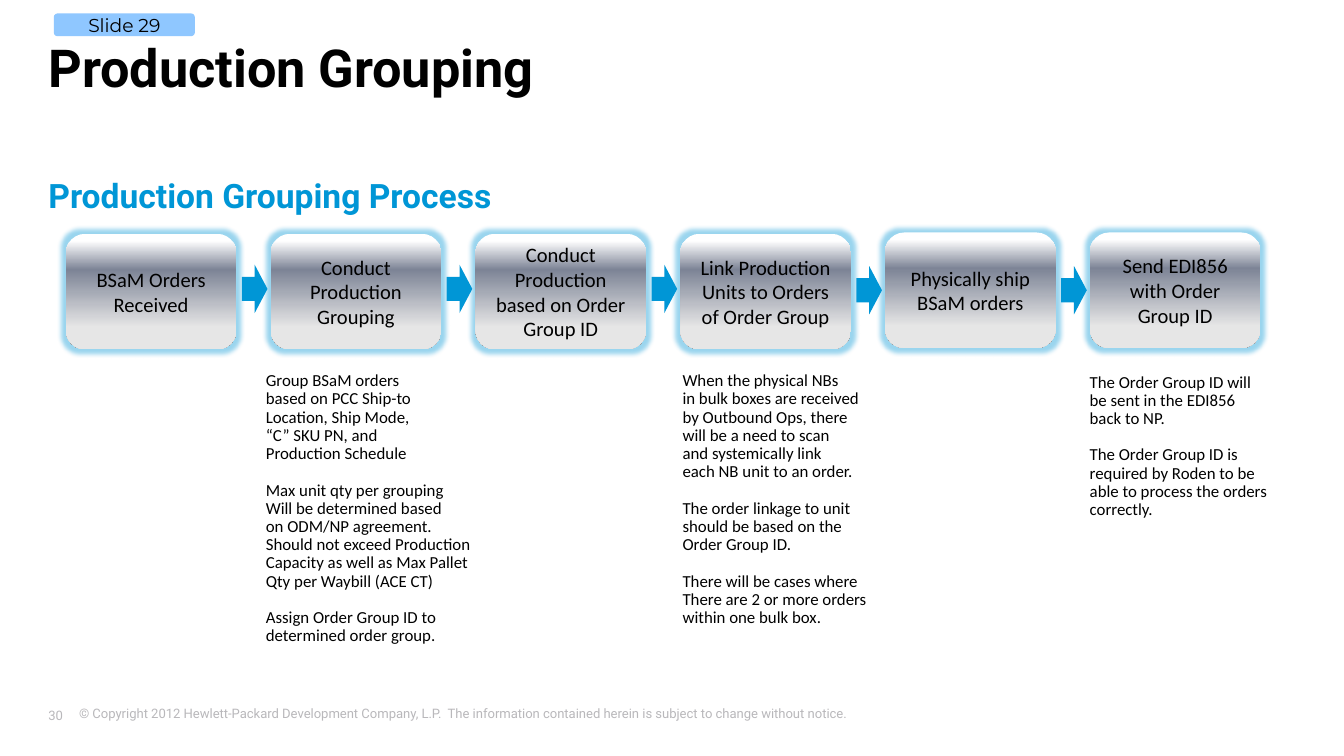
from pptx import Presentation
from pptx.dml.color import RGBColor
from pptx.enum.shapes import MSO_SHAPE
from pptx.enum.text import MSO_ANCHOR, PP_ALIGN
from pptx.oxml import parse_xml
from pptx.oxml.ns import nsdecls
from pptx.util import Inches, Pt

COLORS = {
    "black": "000000",
    "blue": "0096D6",
    "gray": "B9B8BB",
    "tag": "3399FF",
    "white": "FFFFFF",
    "slate": "7D8496",
    "silver": "E6E6E6",
}

# Widescreen 16:9
prs = Presentation()
prs.slide_width = Inches(10)
prs.slide_height = Inches(10 * 9 / 16)
slide = prs.slides.add_slide(prs.slide_layouts[6])


def add_text(left, top, width, height, lines, size, font, color="black", bold=False, inset=0.0):
    box = slide.shapes.add_textbox(Inches(left), Inches(top), Inches(width), Inches(height))
    frame = box.text_frame
    frame.word_wrap = True
    frame.margin_left = Inches(inset)
    frame.margin_right = Inches(inset)
    frame.margin_top = frame.margin_bottom = Inches(inset / 2)
    frame.text = "\n".join(lines)
    for paragraph in frame.paragraphs:
        for run in paragraph.runs:
            run.font.size = Pt(size)
            run.font.name = font
            run.font.bold = bold
            run.font.color.rgb = RGBColor.from_string(COLORS[color])
    return frame


def add_block(kind, left, top, width, height, color, text="", size=11, font="Calibri"):
    block = slide.shapes.add_shape(kind, Inches(left), Inches(top), Inches(width), Inches(height))
    block.shadow.inherit = False
    block.line.fill.background()
    block.fill.solid()
    block.fill.fore_color.rgb = RGBColor.from_string(COLORS[color])
    if text:
        block.text_frame.text = text
        block.text_frame.vertical_anchor = MSO_ANCHOR.MIDDLE
        paragraph = block.text_frame.paragraphs[0]
        paragraph.alignment = PP_ALIGN.CENTER
        label = paragraph.runs[0].font
        label.size = Pt(size)
        label.name = font
        label.color.rgb = RGBColor.from_string(COLORS["black"])
    return block


# Footer
add_text(0.49, 5.2, 8.76, 0.25,
         ["© Copyright 2012 Hewlett-Packard Development Company, L.P.  The information "
          "contained herein is subject to change without notice."],
         7, "Roboto", "gray", inset=0.1)
page_number = add_text(0.36, 5.24, 0.35, 0.16, ["30"], 7, "Roboto", "gray")
page_number.vertical_anchor = MSO_ANCHOR.MIDDLE

# Headings
add_text(0.36, 0.26, 8.88, 0.47, ["Production Grouping"], 28, "Roboto", bold=True)
add_text(0.36, 1.3, 8.88, 3.53, ["Production Grouping Process"], 18, "Roboto", "blue", bold=True)

# Process steps: gradient boxes with a blue glow
steps = [
    "BSaM Orders Received",
    "Conduct Production Grouping",
    "Conduct Production based on Order Group ID",
    "Link Production Units to Orders of Order Group",
    "Physically ship BSaM orders",
    "Send EDI856 with Order Group ID",
]
gradient_stops = [(6, "white"), (31, "slate"), (81, "silver"), (100, "silver")]
stops_xml = "".join(
    f'<a:gs pos="{position * 1000}"><a:srgbClr val="{COLORS[color]}"/></a:gs>'
    for position, color in gradient_stops)
gradient_xml = (f'<a:gradFill {nsdecls("a")} rotWithShape="1"><a:gsLst>{stops_xml}</a:gsLst>'
                '<a:lin ang="5400000" scaled="0"/></a:gradFill>')
glow_xml = (f'<a:glow {nsdecls("a")} rad="63500"><a:srgbClr val="{COLORS["blue"]}">'
            '<a:alpha val="40000"/></a:srgbClr></a:glow>')
step_pitch = 1.524
for index, step in enumerate(steps):
    step_top = 1.74 if index < 4 else 1.73
    step_box = add_block(MSO_SHAPE.ROUNDED_RECTANGLE, 0.49 + index * step_pitch, step_top,
                         1.27, 0.86, "silver", step)
    properties = step_box._element.spPr
    properties.replace(properties.find("{*}solidFill"), parse_xml(gradient_xml))
    properties.find("{*}effectLst").append(parse_xml(glow_xml))

# Arrows between the steps
for index in range(len(steps) - 1):
    arrow_top = 1.97 if index < 3 else 1.98
    add_block(MSO_SHAPE.RIGHT_ARROW, 1.8 + index * step_pitch, arrow_top, 0.19, 0.36, "blue")

# Notes below the steps: each inner list is one group of lines
notes = [
    (1.88, 2.72, 1.77, 2.15, [
        ["Group BSaM orders", "based on PCC Ship-to", "Location, Ship Mode,",
         "“C” SKU PN, and", "Production Schedule"],
        ["Max unit qty per grouping", "Will be determined based", "on ODM/NP agreement.",
         "Should not exceed Production", "Capacity as well as Max Pallet",
         "Qty per Waybill (ACE CT)"],
        ["Assign Order Group ID to", "determined order group."],
    ]),
    (8.01, 2.73, 1.54, 1.19, [
        ["The Order Group ID will", "be sent in the EDI856", "back to NP."],
        ["The Order Group ID is", "required by Roden to be", "able to process the orders",
         "correctly."],
    ]),
    (4.98, 2.72, 1.59, 2.15, [
        ["When the physical NBs", "in bulk boxes are received", "by Outbound Ops, there",
         "will be a need to scan", "and systemically link", "each NB unit to an order."],
        ["The order linkage to unit", "should be based on the", "Order Group ID."],
        ["There will be cases where", "There are 2 or more orders", "within one bulk box."],
    ]),
]
for left, top, width, height, groups in notes:
    lines = [line for group in groups for line in group]
    note = add_text(left, top, width, height, lines, 9, "Calibri", inset=0.1)
    note.word_wrap = False
    group_starts = [group[0] for group in groups[1:]]
    for paragraph in note.paragraphs:
        paragraph.line_spacing = 0.9
        if paragraph.text in group_starts:
            paragraph.space_before = Pt(9.8)

# Slide tag
tag = add_block(MSO_SHAPE.ROUNDED_RECTANGLE, 0.4, 0.1, 1.05, 0.17, "tag",
                "Slide 29", 10, "Montserrat")
tag_color = tag._element.spPr.find("{*}solidFill")[0]
tag_color.append(parse_xml(f'<a:alpha {nsdecls("a")} val="55000"/>'))

prs.save("out.pptx")
